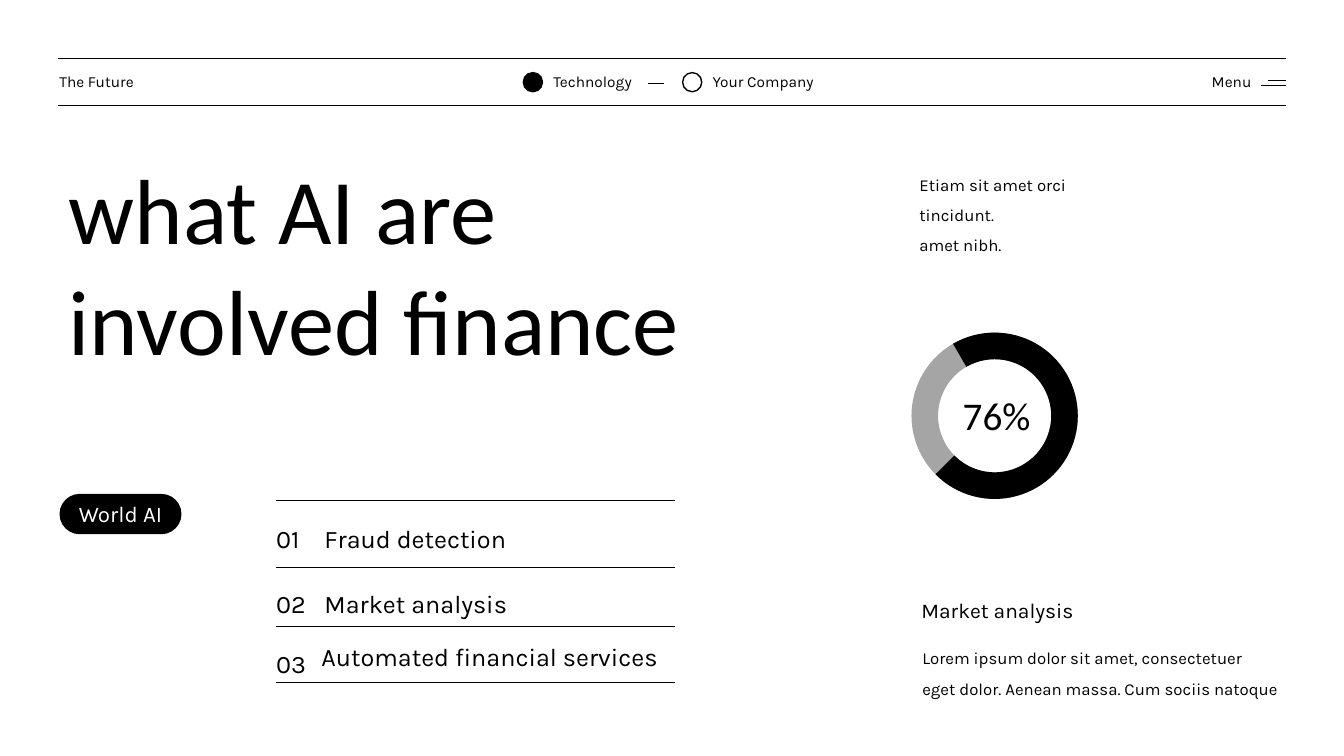
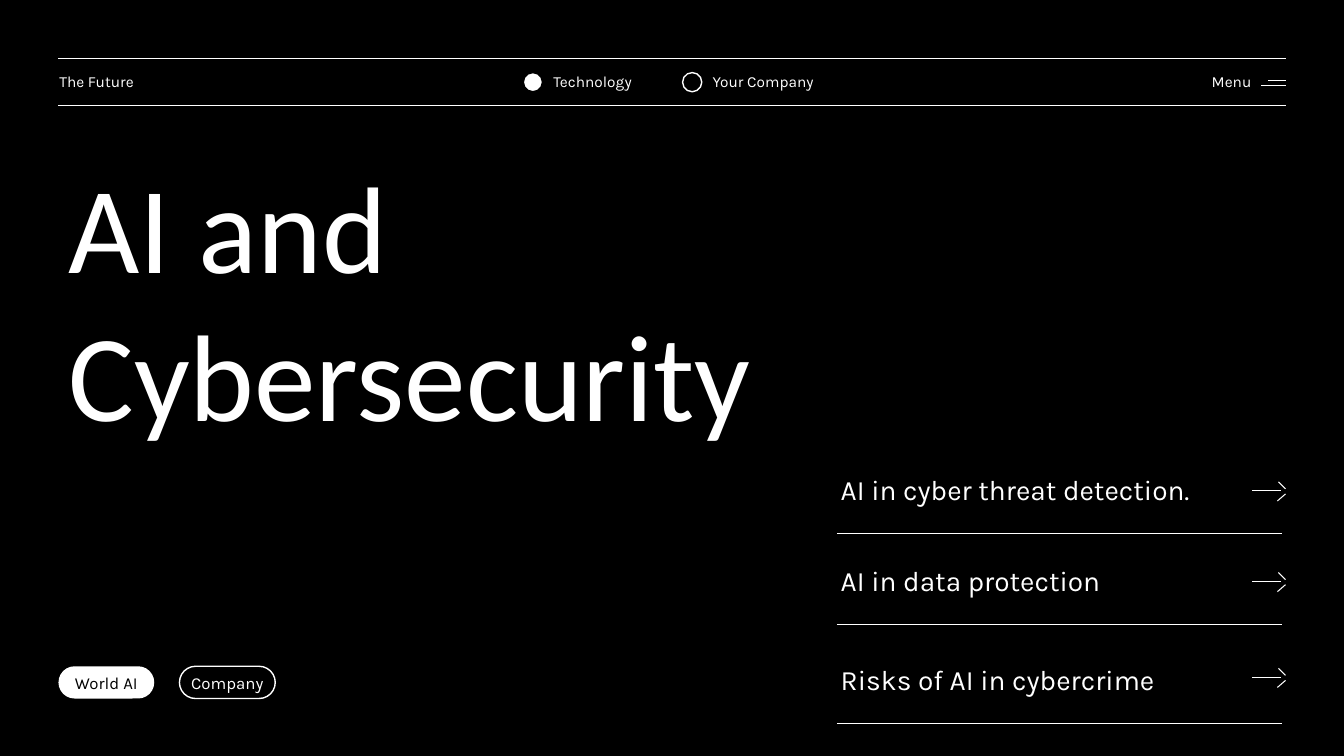
from lxml import etree
from pptx import Presentation
from pptx.dml.color import RGBColor
from pptx.enum.shapes import MSO_CONNECTOR, MSO_SHAPE
from pptx.enum.text import MSO_ANCHOR, MSO_AUTO_SIZE, PP_ALIGN
from pptx.oxml.ns import qn
from pptx.util import Inches, Pt

STRAIGHT = MSO_CONNECTOR.STRAIGHT
ELLIPSE, PILL, ARC = MSO_SHAPE.OVAL, MSO_SHAPE.ROUNDED_RECTANGLE, MSO_SHAPE.BLOCK_ARC
LEFT, CENTER = PP_ALIGN.LEFT, PP_ALIGN.CENTER
TOP, MIDDLE = MSO_ANCHOR.TOP, MSO_ANCHOR.MIDDLE
GROW, FIXED = MSO_AUTO_SIZE.SHAPE_TO_FIT_TEXT, MSO_AUTO_SIZE.NONE

WIDTH, HEIGHT = 13.33, 7.5
MARGIN = 0.58
RIGHT = WIDTH - MARGIN
INSET = 0.1
BLACK, WHITE, GREY = "000000", "FFFFFF", "A5A5A5"
BODY, DISPLAY = "Karla", "Calibri"
HAIR, THIN, MEDIUM = 0.25, 0.75, 1

HEADER_RULES = (0.58, 1.05)
HEADER_TEXT_TOP = 0.67
HEADER_LABELS = [
    ("The Future", 0.49, 1.19),
    ("Technology", 5.39, 1.28),
    ("Your Company", 6.97, 1.38),
    ("Menu", 11.92, 0.83),
]
MENU_BARS = [(0.17, 0.8), (0.24, 0.85)]
DOT_LEFTS = (5.19, 6.77)
DOT_TOP, DOT_SIZE = 0.72, 0.19
DASH = (6.43, 0.83, 6.59, 0.83)

FINANCE = {
    "title": ["what AI are", "involved finance"],
    "title_at": (MARGIN, 1.46, 6.75, 2.32),
    "title_size": 66,
    "list_span": (2.74, 6.69),
    "rules": (4.97, 5.63, 6.22, 6.77),
    "items": [
        ("01", 4.99, "Fraud detection", 3.12, 4.99, 1.5),
        ("02", 5.64, "Market analysis", 3.12, 5.64, 1.5),
        ("03", 6.23, "Automated financial services", 3.09, 6.31, 1.0),
    ],
    "notes": [
        (["Etiam sit amet orci", "tincidunt.", "amet nibh."], (9.02, 1.58, 4.19, 1.28), 12, 1.5),
        (["Market analysis"], (9.04, 5.88, 2.07, 0.35), 15, 1.0),
        (["Lorem ipsum dolor sit amet, consectetuer",
          "eget dolor. Aenean massa. Cum sociis natoque"], (9.05, 6.28, 4.2, 0.67), 12, 1.5),
    ],
    "pills": [("World AI", (0.59, 4.9, 1.21, 0.4), 16, True)],
    "ring_at": (9.04, 3.3, 1.65, 1.65),
    "ring_arcs": [(GREY, 241.77, 241.51), (BLACK, 240, 135.32)],
    "ring_label": ("76%", (9.45, 3.83, 1.12, 0.57), 28),
}

SECURITY = {
    "title": ["AI and Cybersecurity"],
    "title_at": (MARGIN, 1.44, 8.08, 3.06),
    "title_size": 88,
    "list_span": (8.3, 12.72),
    "items": [
        ("AI in cyber threat detection.", 4.64, 4.87),
        ("AI in data protection", 5.54, 5.77),
        ("Risks of AI in cybercrime", 6.52, 6.72),
    ],
    "rule_drop": 0.65,
    "arrow_strokes": [(0.33, 0, 0.04, 0), (0.07, -0.09, 0, -0.02), (0, 0.03, 0.08, 0.1)],
    "pills": [
        ("World AI", (MARGIN, 6.61, 0.95, 0.32), 12, True),
        ("Company", (1.78, 6.61, 0.95, 0.32), 12, False),
    ],
}


def colour(code):
    return RGBColor.from_string(code)


def inches(values):
    return [Inches(value) for value in values]


def apply(target, values):
    for name, value in values.items():
        setattr(target, name, value)


def write(frame, lines, size, ink, font=BODY, spacing=1.0, align=LEFT, **frame_values):
    apply(frame, {"word_wrap": True, "auto_size": GROW, "vertical_anchor": TOP, **frame_values})
    for number, line in enumerate(lines):
        para = frame.paragraphs[0] if number == 0 else frame.add_paragraph()
        apply(para, {"alignment": align, "line_spacing": spacing})
        span = para.add_run()
        span.text = line
        apply(span.font, {"name": font, "size": Pt(size)})
        span.font.color.rgb = colour(ink)


def add_text(slide, lines, place, size, ink, **values):
    box = slide.shapes.add_textbox(*inches(place))
    write(box.text_frame, lines, size, ink, **values)


def add_line(slide, ends, ink, weight=THIN):
    line = slide.shapes.add_connector(STRAIGHT, *inches(ends))
    line.line.color.rgb = colour(ink)
    line.line.width = Pt(weight)
    etree.SubElement(line._element.spPr, qn("a:effectLst"))


def add_figure(slide, kind, place, fill=None, edge=None, adjustments=()):
    figure = slide.shapes.add_shape(kind, *inches(place))
    figure.shadow.inherit = False
    for paint, code in ((figure.fill, fill), (figure.line.fill, edge)):
        if code:
            paint.solid()
            paint.fore_color.rgb = colour(code)
        else:
            paint.background()
    if edge:
        figure.line.width = Pt(MEDIUM)
    for number, value in enumerate(adjustments):
        figure.adjustments[number] = value
    return figure


def add_pills(slide, pills, ink, paper):
    for label, place, size, solid in pills:
        pill = add_figure(slide, PILL, place, ink if solid else None, None if solid else ink, [0.5])
        margins = {"margin_" + side: 0 for side in ("left", "top", "right", "bottom")}
        write(pill.text_frame, [label], size, paper if solid else ink, align=CENTER,
              auto_size=FIXED, vertical_anchor=MIDDLE, **margins)


def add_header(slide, ink):
    for y in HEADER_RULES:
        add_line(slide, (MARGIN, y, RIGHT, y), ink)
    for length, y in MENU_BARS:
        add_line(slide, (RIGHT - length, y, RIGHT, y), ink, MEDIUM)
    for label, left, width in HEADER_LABELS:
        add_text(slide, [label], (left, HEADER_TEXT_TOP, width, 0.29), 11, ink)
    for left, fill, edge in zip(DOT_LEFTS, (ink, None), (BLACK, ink)):
        add_figure(slide, ELLIPSE, (left, DOT_TOP, DOT_SIZE, DOT_SIZE), fill, edge)


def start_slide(deck, content, ink, paper):
    slide = deck.slides.add_slide(deck.slide_layouts[5])
    slide.background.fill.solid()
    slide.background.fill.fore_color.rgb = colour(paper)
    title = slide.shapes.title
    apply(title, dict(zip(("left", "top", "width", "height"), inches(content["title_at"]))))
    write(title.text_frame, content["title"], content["title_size"], ink, font=DISPLAY)
    add_header(slide, ink)
    add_pills(slide, content["pills"], ink, paper)
    return slide


def build_finance(deck):
    slide = start_slide(deck, FINANCE, BLACK, WHITE)
    add_line(slide, DASH, BLACK, MEDIUM)
    start, end = FINANCE["list_span"]
    for y in FINANCE["rules"]:
        add_line(slide, (start, y, end, y), BLACK)
    for number, number_top, label, left, top, spacing in FINANCE["items"]:
        add_text(slide, [number], (start - INSET, number_top, 0.52, 0.51), 18, BLACK, spacing=1.5)
        add_text(slide, [label], (left, top, 4.2, 0.34 * spacing), 18, BLACK, spacing=spacing)
    for lines, place, size, spacing in FINANCE["notes"]:
        add_text(slide, lines, place, size, BLACK, spacing=spacing)
    for fill, first, last in FINANCE["ring_arcs"]:
        angles = [degrees * 60000 / 100000 for degrees in (first, last)]
        add_figure(slide, ARC, FINANCE["ring_at"], fill, adjustments=[*angles, 0.16])
    label, place, size = FINANCE["ring_label"]
    add_text(slide, [label], place, size, BLACK, font=DISPLAY)


def build_security(deck):
    slide = start_slide(deck, SECURITY, WHITE, BLACK)
    start, end = SECURITY["list_span"]
    for label, top, arrow_y in SECURITY["items"]:
        add_text(slide, [label], (start - 0.06, top, 4.1, 0.44), 20, WHITE)
        rule_y = top + SECURITY["rule_drop"]
        add_line(slide, (start, rule_y, end, rule_y), WHITE, HAIR)
        for back_from, down_from, back_to, down_to in SECURITY["arrow_strokes"]:
            add_line(slide, (RIGHT - back_from, arrow_y + down_from,
                             RIGHT - back_to, arrow_y + down_to), WHITE)


def main():
    deck = Presentation()
    apply(deck, {"slide_width": Inches(WIDTH), "slide_height": Inches(HEIGHT)})
    build_finance(deck)
    build_security(deck)
    deck.save("out.pptx")


if __name__ == "__main__":
    main()
